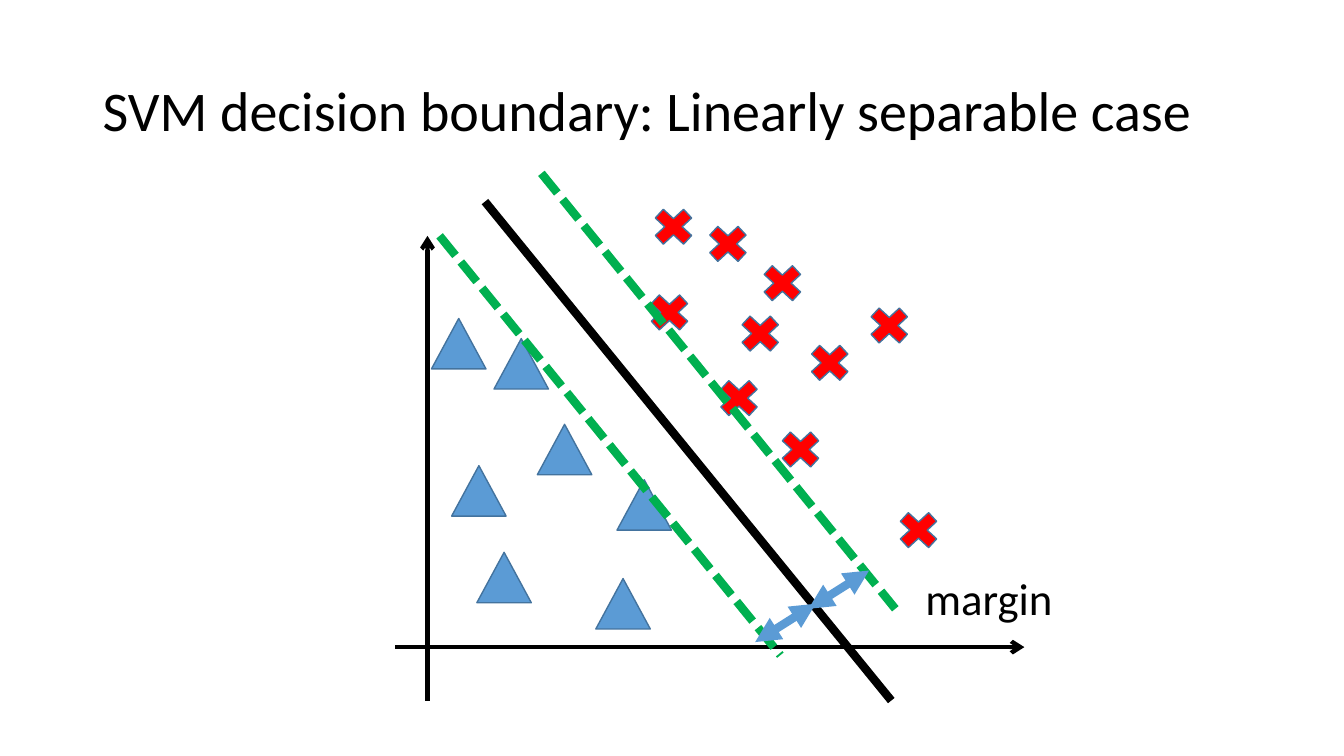
from dataclasses import dataclass

import lxml.etree
import pptx
import pptx.dml.color
import pptx.enum.dml
import pptx.enum.shapes
import pptx.enum.text
import pptx.oxml.ns
import pptx.slide
import pptx.util

PX = 9144  # EMU per px, 100 px to the inch
MARKER_SIZE = (54, 50)
BLACK, GREEN, BLUE, RED, OUTLINE = "000000", "00B050", "5B9BD5", "FF0000", "43739E"

SHAPES = pptx.enum.shapes.MSO_SHAPE
ANCHORS = pptx.enum.text.MSO_ANCHOR
DASHES = pptx.enum.dml.MSO_LINE


@dataclass(frozen=True)
class DataClass:
    preset: SHAPES
    color: str
    corners: tuple[tuple[int, int], ...]


@dataclass(frozen=True)
class Line:
    start: tuple[int, int]
    end: tuple[int, int]
    color: str
    width: int
    dashed: bool = False
    head: str = ""
    tail: str = ""


@dataclass(frozen=True)
class Label:
    text: str
    box: tuple[int, int, int, int]
    size: int
    frame_format: dict[str, object]
    line_spacing: float = 1.0


AXES = (
    Line((424, 234), (424, 695), BLACK, 3, head="arrow"),
    Line((392, 642), (1016, 642), BLACK, 3, tail="arrow"),
)
DATA_CLASSES = (
    DataClass(SHAPES.ISOSCELES_TRIANGLE, BLUE, (
        (591, 574), (473, 548), (448, 462), (533, 421),
        (612, 476), (428, 316), (490, 336),
    )),
    DataClass(SHAPES.MATH_MULTIPLY, RED, (
        (706, 370), (749, 256), (796, 335), (767, 421), (855, 298),
        (637, 285), (884, 501), (695, 217), (727, 306), (641, 200),
    )),
)
BOUNDARY_AND_MARGINS = (
    Line((481, 200), (884, 695), BLACK, 6),
    Line((537, 172), (888, 604), GREEN, 6, dashed=True),
    Line((436, 234), (774, 650), GREEN, 6, dashed=True),
    Line((862, 566), (802, 604), BLUE, 6, head="triangle", tail="triangle"),
    Line((809, 599), (749, 637), BLUE, 6, head="triangle", tail="triangle"),
)
LABELS = (
    Label("SVM decision boundary: Linearly separable case", (92, 40, 1150, 145), 40,
          {"word_wrap": True, "vertical_anchor": ANCHORS.MIDDLE}, 0.9),
    Label("margin", (908, 561, 148, 64), 32,
          {"word_wrap": False, "vertical_anchor": ANCHORS.TOP,
           "auto_size": pptx.enum.text.MSO_AUTO_SIZE.SHAPE_TO_FIT_TEXT}),
)


def emu(*lengths: int) -> list[int]:
    return [length * PX for length in lengths]


def rgb(color: str) -> pptx.dml.color.RGBColor:
    return pptx.dml.color.RGBColor.from_string(color)


def apply_format(target: object, values: dict[str, object]) -> None:
    for name, value in values.items():
        setattr(target, name, value)


def draw_line(slide: pptx.slide.Slide, line: Line) -> None:
    connector = slide.shapes.add_connector(
        pptx.enum.shapes.MSO_CONNECTOR.STRAIGHT, *emu(*line.start, *line.end))
    connector.line.color.rgb = rgb(line.color)
    connector.line.width = pptx.util.Pt(line.width)
    if line.dashed:
        connector.line.dash_style = DASHES.SQUARE_DOT
        # SQUARE_DOT is written as sysDot or sysDash by version; fix it to sysDash
        connector.line._ln.find(pptx.oxml.ns.qn("a:prstDash")).set("val", "sysDash")
    for tag, arrow in (("a:headEnd", line.head), ("a:tailEnd", line.tail)):
        if arrow:
            lxml.etree.SubElement(
                connector.line._ln, pptx.oxml.ns.qn(tag)).set("type", arrow)
    lxml.etree.SubElement(
        connector._element.spPr, pptx.oxml.ns.qn("a:effectLst"))


def draw_data_class(slide: pptx.slide.Slide, data_class: DataClass) -> None:
    for corner in data_class.corners:
        marker = slide.shapes.add_shape(
            data_class.preset, *emu(*corner, *MARKER_SIZE))
        marker.shadow.inherit = False
        marker.fill.solid()
        marker.fill.fore_color.rgb = rgb(data_class.color)
        marker.line.color.rgb = rgb(OUTLINE)
        marker.line.width = pptx.util.Pt(1)


def draw_label(slide: pptx.slide.Slide, label: Label) -> None:
    frame = slide.shapes.add_textbox(*emu(*label.box)).text_frame
    apply_format(frame, label.frame_format)
    paragraph = frame.paragraphs[0]
    paragraph.line_spacing = label.line_spacing
    run = paragraph.add_run()
    run.text = label.text
    apply_format(run.font, {"name": "Calibri", "size": pptx.util.Pt(label.size)})
    run.font.color.rgb = rgb(BLACK)


def main() -> None:
    deck = pptx.Presentation()
    deck.slide_width, deck.slide_height = emu(1333, 750)
    slide = deck.slides.add_slide(deck.slide_layouts[6])
    for axis in AXES:
        draw_line(slide, axis)
    for data_class in DATA_CLASSES:
        draw_data_class(slide, data_class)
    for line in BOUNDARY_AND_MARGINS:
        draw_line(slide, line)
    for label in LABELS:
        draw_label(slide, label)
    deck.save("out.pptx")


if __name__ == "__main__":
    main()
